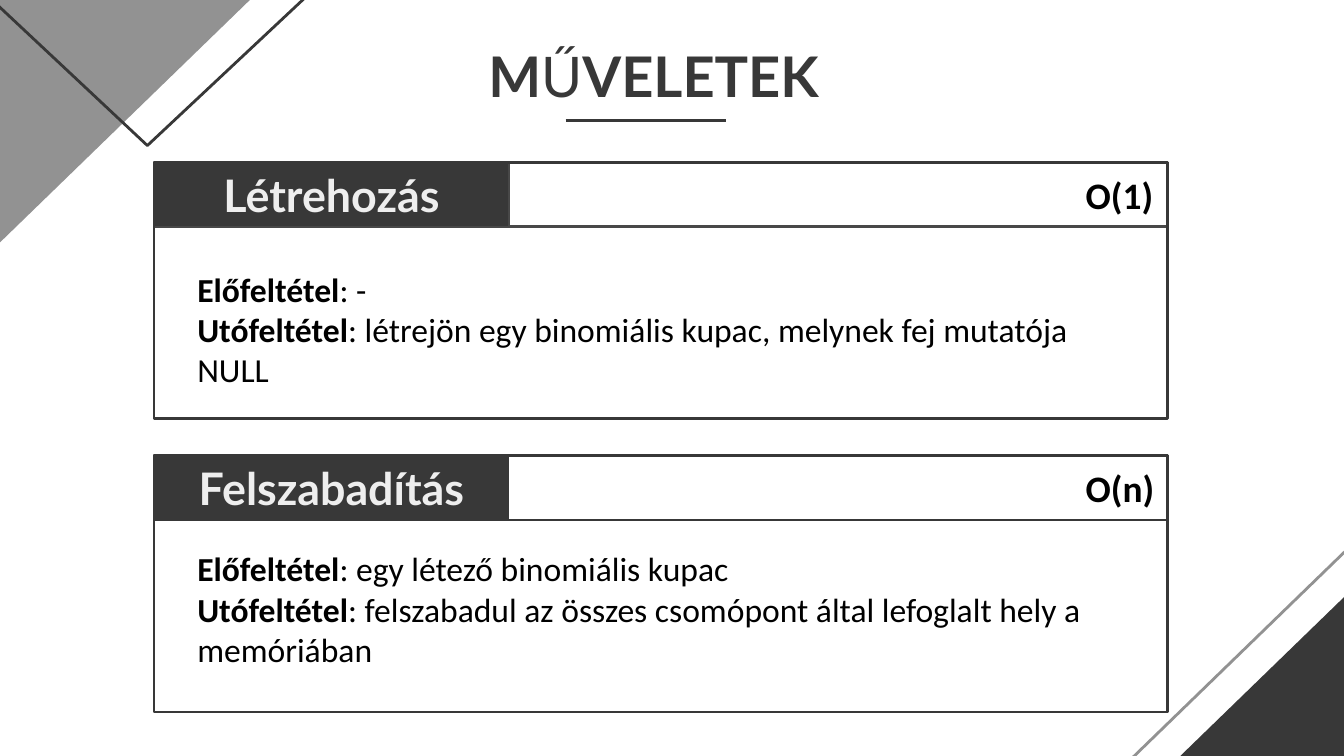
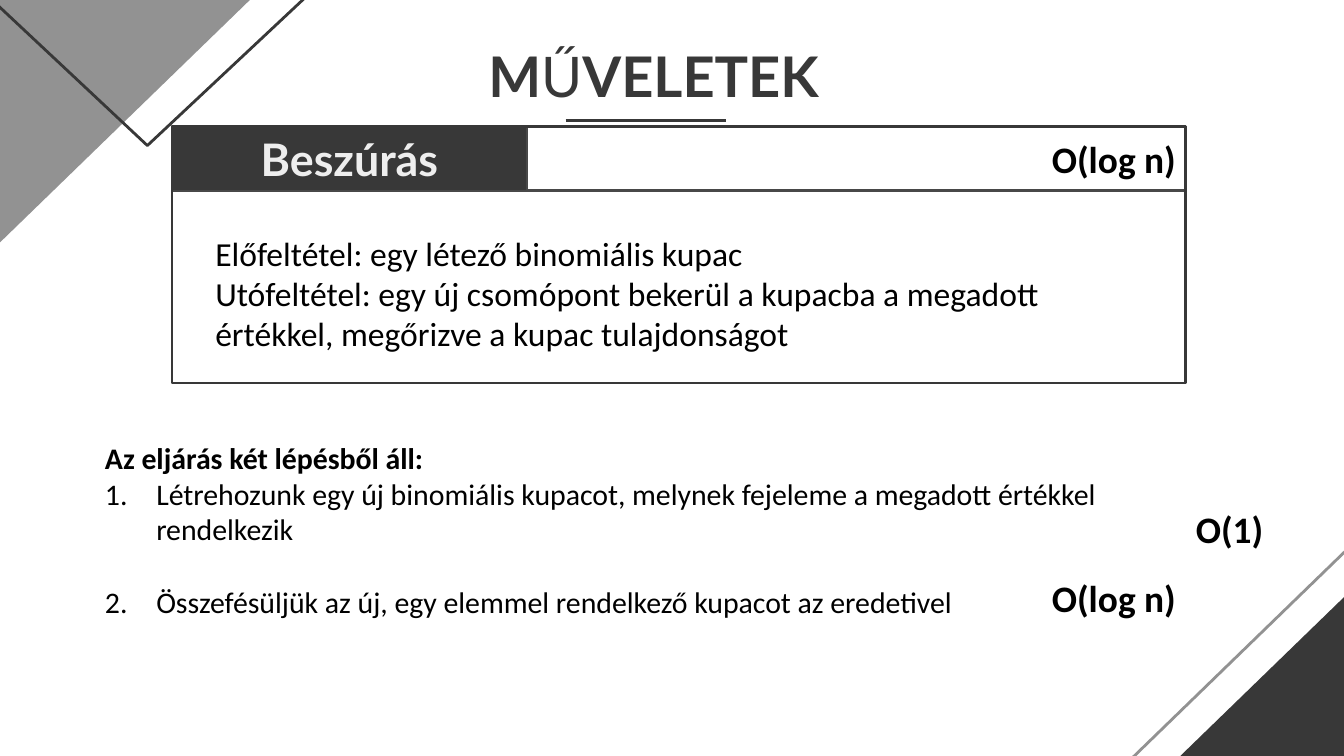
from dataclasses import dataclass
from typing import NamedTuple, Optional

from lxml import etree
from pptx import Presentation
from pptx.dml.color import RGBColor
from pptx.enum.shapes import MSO_CONNECTOR, MSO_SHAPE
from pptx.enum.text import MSO_ANCHOR, MSO_AUTO_SIZE, PP_ALIGN
from pptx.oxml.ns import qn
from pptx.util import Cm, Pt

RECT = MSO_SHAPE.RECTANGLE
TRIANGLE = MSO_SHAPE.ISOSCELES_TRIANGLE
RIGHT_TRIANGLE = MSO_SHAPE.RIGHT_TRIANGLE
STRAIGHT = MSO_CONNECTOR.STRAIGHT
TOP, MIDDLE = MSO_ANCHOR.TOP, MSO_ANCHOR.MIDDLE
LEFT, CENTER = PP_ALIGN.LEFT, PP_ALIGN.CENTER
GROW, NO_FIT = MSO_AUTO_SIZE.SHAPE_TO_FIT_TEXT, MSO_AUTO_SIZE.NONE

COLORS = {
    "dark": "383838",
    "rule": "484848",
    "grey": "929292",
    "light": "EEEEEE",
    "text": "000000",
}
STYLES = {
    "title": ({"name": "Lato", "size": Pt(30)}, "dark"),
    "tag": ({"name": "Lato", "size": Pt(24)}, "light"),
    "body": ({"name": "Calibri", "size": Pt(18)}, "text"),
    "list": ({"name": "Calibri", "size": Pt(16)}, "text"),
    "cost": ({"name": "Calibri", "size": Pt(20)}, "text"),
}
INSET = Cm(0.25)
PANEL_W, PANEL_H = 19.15, 4.85
TAG_W, HEADER_H = 6.71, 1.22
INDENT = Cm(0.97)


class Span(NamedTuple):
    text: str
    bold: bool = False


class Box(NamedTuple):
    left: float
    top: float
    width: float
    height: float

    def cm(self):
        return [Cm(v) for v in self]


class Decor(NamedTuple):
    kind: int
    box: Box
    fill: Optional[str] = None
    line: Optional[str] = None
    rotation: int = 0
    flip: bool = False


@dataclass
class Panel:
    name: str
    cost: str
    left: float
    top: float
    cost_left: float
    lines: list
    text_drop: float = 1.88
    header_line: str = "rule"
    tag_line: Optional[str] = "rule"


DECOR = [
    Decor(RIGHT_TRIANGLE, Box(19.46, 7.04, 9.45, 9.17), line="grey", flip=True),
    Decor(RIGHT_TRIANGLE, Box(19.99, 7.37, 9.45, 9.17), fill="dark", flip=True),
    Decor(RIGHT_TRIANGLE, Box(-2.11, -2.54, 9.45, 9.17), fill="grey", rotation=180, flip=True),
    Decor(TRIANGLE, Box(-4.67, -4.24, 14.91, 6.99), line="dark", rotation=180),
]
TITLE = [Span("M", True), Span("Ű"), Span("VELETEK", True)]
CREATE = Panel(
    "Létrehozás", "O(1)", 2.91, 3.07, 20.27,
    [[Span("Előfeltétel", True), Span(": -")],
     [Span("Utófeltétel", True),
      Span(": létrejön egy binomiális kupac, melynek fej mutatója NULL")]],
)
RELEASE = Panel(
    "Felszabadítás", "O(n)", 2.91, 8.61, 20.27,
    [[Span("Előfeltétel", True), Span(": egy létező binomiális kupac")],
     [Span("Utófeltétel", True),
      Span(": felszabadul az összes csomópont által lefoglalt hely a memóriában")]],
    text_drop=1.63, header_line="dark", tag_line=None,
)
INSERT = Panel(
    "Beszúrás", "O(log n)", 3.25, 2.39, 19.63,
    [[Span("Előfeltétel: egy létező binomiális kupac")],
     [Span("Utófeltétel: egy új csomópont bekerül a kupacba a megadott "
           "értékkel, megőrizve a kupac tulajdonságot")]],
)
STEPS = [
    [Span("Az eljárás két lépésből áll:", True)],
    [Span("Létrehozunk egy új binomiális kupacot, melynek fejeleme a megadott "
          "értékkel rendelkezik")],
    [Span("Összefésüljük az új, egy elemmel rendelkező kupacot az eredetivel")],
]


def color(name: str) -> RGBColor:
    return RGBColor.from_string(COLORS[name])


def write(tf, lines: list, style: str, align: int = LEFT) -> None:
    fmt, ink = STYLES[style]
    tf.word_wrap = True
    for i, spans in enumerate(lines):
        p = tf.add_paragraph() if i else tf.paragraphs[0]
        p.alignment = align
        p.space_before = Pt(0)
        for span in spans:
            r = p.add_run()
            r.text = span.text
            for key, value in {**fmt, "bold": span.bold}.items():
                setattr(r.font, key, value)
            r.font.color.rgb = color(ink)


def set_frame(tf, anchor: int) -> None:
    frame = {"margin_left": INSET, "margin_right": INSET, "margin_top": INSET,
             "margin_bottom": INSET, "vertical_anchor": anchor, "auto_size": NO_FIT}
    for key, value in frame.items():
        setattr(tf, key, value)


def add_shape(s, kind: int, box: Box, fill: Optional[str] = None,
              line: Optional[str] = None, weight: float = 1.5):
    sp = s.shapes.add_shape(kind, *box.cm())
    sp.shadow.inherit = False
    if fill:
        sp.fill.solid()
        sp.fill.fore_color.rgb = color(fill)
    else:
        sp.fill.background()
    if line:
        sp.line.color.rgb = color(line)
        sp.line.width = Pt(weight)
    else:
        sp.line.fill.background()
    return sp


def add_text(s, box: Box, lines: list, style: str) -> None:
    tf = s.shapes.add_textbox(*box.cm()).text_frame
    write(tf, lines, style)
    tf.auto_size = GROW


def add_cost(s, left: float, top: float, cost: str) -> None:
    add_text(s, Box(left, top, 3.61, 1.11), [[Span(cost, True)]], "cost")


def add_panel(s, panel: Panel) -> None:
    left, top = panel.left, panel.top
    add_shape(s, RECT, Box(left, top, PANEL_W, HEADER_H), line=panel.header_line)
    tag = add_shape(s, RECT, Box(left, top, TAG_W, HEADER_H), "dark", panel.tag_line, 0.75)
    set_frame(tag.text_frame, MIDDLE)
    write(tag.text_frame, [[Span(panel.name, True)]], "tag", CENTER)
    add_shape(s, RECT, Box(left, top, PANEL_W, PANEL_H), line="dark")
    add_text(s, Box(left + 0.57, top + panel.text_drop, 17.75, 2.56), panel.lines, "body")
    add_cost(s, panel.cost_left, top + 0.06, panel.cost)


def place(sp, box: Box) -> None:
    sp.left, sp.top, sp.width, sp.height = box.cm()


def add_title(s) -> None:
    title = s.shapes.title
    place(title, Box(0.43, 0.53, 23.85, 1.47))
    set_frame(title.text_frame, TOP)
    write(title.text_frame, [TITLE], "title", CENTER)
    rule = s.shapes.add_connector(STRAIGHT, Cm(10.69), Cm(2.28), Cm(13.72), Cm(2.28))
    rule.line.color.rgb = color("dark")
    rule.line.width = Pt(1.5)
    etree.SubElement(rule.element.spPr, qn("a:effectLst"))


def add_steps(s) -> None:
    body = s.placeholders[1]
    place(body, Box(1.73, 8.18, 20.68, 3.68))
    tf = body.text_frame
    write(tf, STEPS, "list")
    tf.auto_size = GROW
    heading, *steps = tf.paragraphs
    pPr = heading._p.get_or_add_pPr()
    pPr.set("marL", "0")
    pPr.set("indent", "0")
    etree.SubElement(pPr, qn("a:buNone"))
    for p in steps:
        pPr = p._p.get_or_add_pPr()
        pPr.set("marL", str(INDENT))
        pPr.set("indent", str(-INDENT))
        bullet_color = etree.SubElement(pPr, qn("a:buClr"))
        etree.SubElement(bullet_color, qn("a:srgbClr"), val=COLORS["text"])
        etree.SubElement(pPr, qn("a:buFont"), typeface="Calibri")
        etree.SubElement(pPr, qn("a:buAutoNum"), type="arabicPeriod")
    steps[-1].space_before = Pt(19.5)


def decorate_master(prs, s) -> None:
    tree = prs.slide_master.shapes.element
    for i, decor in enumerate(DECOR):
        sp = add_shape(s, decor.kind, decor.box, decor.fill, decor.line)
        sp.rotation = decor.rotation
        if decor.flip:
            sp.element.spPr.find(qn("a:xfrm")).set("flipH", "1")
        tree.insert(2 + i, sp.element)


def main() -> None:
    prs = Presentation()
    prs.slide_width, prs.slide_height = Cm(25.4), Cm(14.29)

    s = prs.slides.add_slide(prs.slide_layouts[5])
    decorate_master(prs, s)
    for panel in (CREATE, RELEASE):
        add_panel(s, panel)
    add_title(s)

    s = prs.slides.add_slide(prs.slide_layouts[1])
    add_panel(s, INSERT)
    add_title(s)
    add_steps(s)
    add_cost(s, 19.63, 10.74, "O(log n)")
    add_cost(s, 22.35, 9.45, "O(1)")

    prs.save("out.pptx")


if __name__ == "__main__":
    main()
